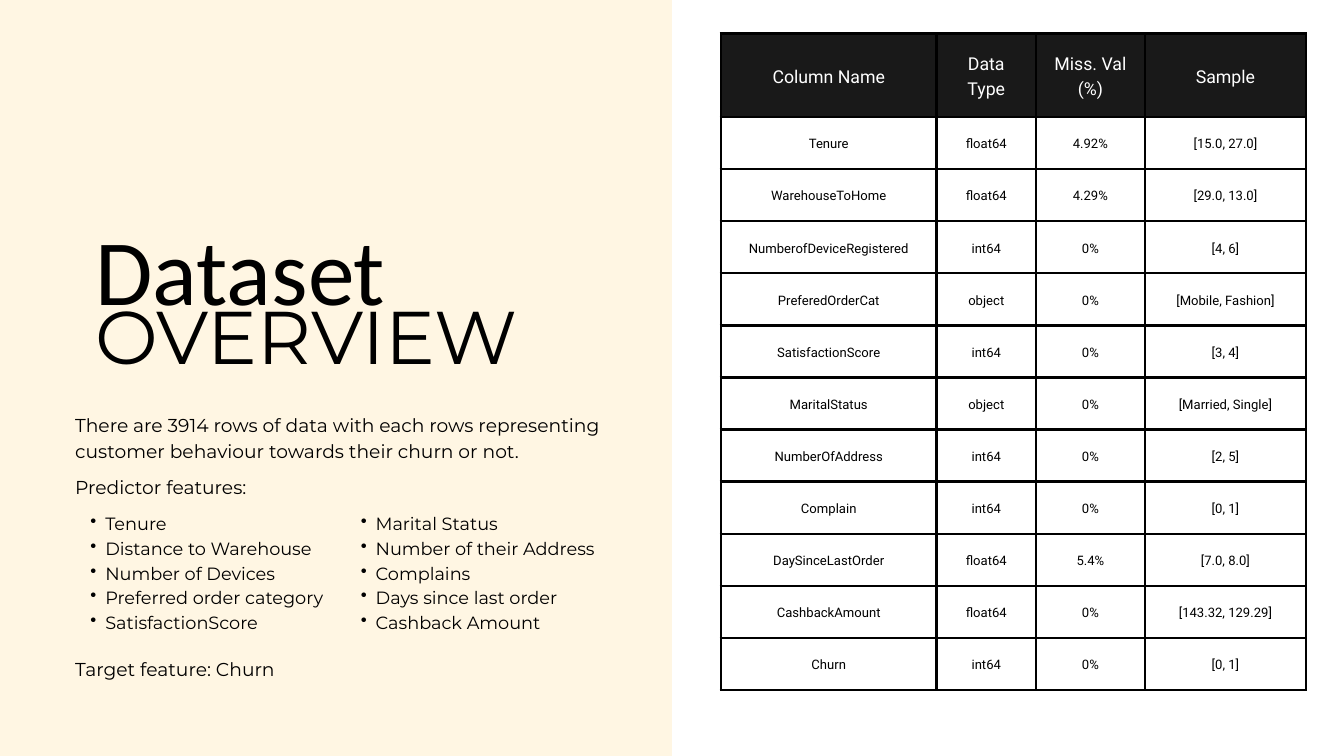
from lxml import etree
from pptx import Presentation
from pptx.dml.color import RGBColor
from pptx.enum.shapes import MSO_SHAPE
from pptx.enum.text import MSO_ANCHOR, MSO_AUTO_SIZE, PP_ALIGN
from pptx.oxml import parse_xml
from pptx.oxml.ns import nsdecls, qn
from pptx.util import Cm, Pt

LEFT, CENTER = PP_ALIGN.LEFT, PP_ALIGN.CENTER
TOP, MIDDLE = MSO_ANCHOR.TOP, MSO_ANCHOR.MIDDLE
GROW = MSO_AUTO_SIZE.SHAPE_TO_FIT_TEXT
RECTANGLE = MSO_SHAPE.RECTANGLE
TITLE_ONLY = 5

BLACK = RGBColor(0x00, 0x00, 0x00)
WHITE = RGBColor(0xFF, 0xFF, 0xFF)
CREAM = RGBColor(0xFF, 0xF6, 0xE3)
CHARCOAL = RGBColor(0x19, 0x19, 0x19)

SLIDE_WIDTH, SLIDE_HEIGHT = 50.8, 28.58

TITLE = "Dataset"
SUBTITLE = "OVERVIEW"
BODY_LEFT, BODY_WIDTH = 2.84, 20.6
# text, top, height
BODY = [
    ("There are 3914 rows of data with each rows representing "
     "customer behaviour towards their churn or not.", 15.49, 1.96),
    ("Predictor features:", 17.83, 0.97),
    ("Target feature: Churn", 24.74, 0.97),
]
# left, width, predictors
PREDICTORS = [
    (2.84, 9.58, ["Tenure", "Distance to Warehouse", "Number of Devices",
                  "Preferred order category", "SatisfactionScore"]),
    (13.06, 10.39, ["Marital Status", "Number of their Address", "Complains",
                    "Days since last order", "Cashback Amount"]),
]
PREDICTORS_TOP, PREDICTORS_HEIGHT = 19.25, 4.57

COLUMNS = [("Column Name", 8.15), ("Data Type", 3.76),
           ("Miss. Val (%)", 4.11), ("Sample", 6.1)]
ROWS = [
    ("Tenure", "float64", "4.92%", "[15.0, 27.0]"),
    ("WarehouseToHome", "float64", "4.29%", "[29.0, 13.0]"),
    ("NumberofDeviceRegistered", "int64", "0%", "[4, 6]"),
    ("PreferedOrderCat", "object", "0%", "[Mobile, Fashion]"),
    ("SatisfactionScore", "int64", "0%", "[3, 4]"),
    ("MaritalStatus", "object", "0%", "[Married, Single]"),
    ("NumberOfAddress", "int64", "0%", "[2, 5]"),
    ("Complain", "int64", "0%", "[0, 1]"),
    ("DaySinceLastOrder", "float64", "5.4%", "[7.0, 8.0]"),
    ("CashbackAmount", "float64", "0%", "[143.32, 129.29]"),
    ("Churn", "int64", "0%", "[0, 1]"),
]
TABLE_LEFT, TABLE_TOP = 27.25, 1.27
HEADER_HEIGHT, ROW_HEIGHT = 3.15, 1.97
CELL_MARGIN = 0.53
BORDER_WIDTH = 3


def write(frame, lines, *, size, spacing, font="Montserrat", color=BLACK,
          align=LEFT, bullet=False):
    for index, line in enumerate(lines):
        paragraph = frame.paragraphs[0] if index == 0 else frame.add_paragraph()
        paragraph.alignment = align
        paragraph.line_spacing = Pt(spacing)
        run = paragraph.add_run()
        run.text = line
        run.font.name = font
        run.font.size = Pt(size)
        run.font.color.rgb = color
        if bullet:
            properties = paragraph._p.get_or_add_pPr()
            properties.set("marL", str(Cm(1.14)))
            properties.set("indent", str(-Cm(0.56)))
            etree.SubElement(properties, qn("a:buChar"), char="•")


def set_up_box(shape, left, top, width, height):
    """Place a text shape, without insets, and return its text frame."""
    shape.left, shape.top = Cm(left), Cm(top)
    shape.width, shape.height = Cm(width), Cm(height)
    frame = shape.text_frame
    frame.margin_left = frame.margin_right = 0
    frame.margin_top = frame.margin_bottom = 0
    frame.vertical_anchor = TOP
    frame.word_wrap = True
    frame.auto_size = GROW
    return frame


def add_box(slide, *place):
    return set_up_box(slide.shapes.add_textbox(0, 0, 0, 0), *place)


def add_borders(cell):
    properties = cell._tc.get_or_add_tcPr()
    for position, side in enumerate(("lnL", "lnR", "lnT", "lnB")):
        properties.insert(position, parse_xml(
            f'<a:{side} {nsdecls("a")} w="{Pt(BORDER_WIDTH)}"><a:solidFill>'
            f'<a:srgbClr val="{BLACK}"/></a:solidFill></a:{side}>'))


def add_column_table(slide):
    width = sum(column_width for _, column_width in COLUMNS)
    height = HEADER_HEIGHT + ROW_HEIGHT * len(ROWS)
    table = slide.shapes.add_table(
        len(ROWS) + 1, len(COLUMNS),
        Cm(TABLE_LEFT), Cm(TABLE_TOP), Cm(width), Cm(height)).table
    table.horz_banding = False
    for column, (_, column_width) in zip(table.columns, COLUMNS):
        column.width = Cm(column_width)

    header = tuple(name for name, _ in COLUMNS)
    for index, (row, values) in enumerate(zip(table.rows, [header] + ROWS)):
        is_header = index == 0
        row.height = Cm(HEADER_HEIGHT if is_header else ROW_HEIGHT)
        for cell, value in zip(row.cells, values):
            cell.margin_left = cell.margin_right = Cm(CELL_MARGIN)
            cell.margin_top = cell.margin_bottom = Cm(CELL_MARGIN)
            cell.vertical_anchor = MIDDLE
            if is_header:
                cell.fill.solid()
                cell.fill.fore_color.rgb = CHARCOAL
            else:
                cell.fill.background()
            add_borders(cell)
            write(cell.text_frame, [value], font="Roboto", align=CENTER,
                  size=19 if is_header else 14,
                  spacing=26.6 if is_header else 19.6,
                  color=WHITE if is_header else BLACK)


def main():
    presentation = Presentation()
    presentation.slide_width = Cm(SLIDE_WIDTH)
    presentation.slide_height = Cm(SLIDE_HEIGHT)
    slide = presentation.slides.add_slide(
        presentation.slide_layouts[TITLE_ONLY])
    title = slide.shapes.title

    panel = slide.shapes.add_shape(
        RECTANGLE, 0, 0, Cm(SLIDE_WIDTH / 2), Cm(SLIDE_HEIGHT))
    panel.shadow.inherit = False
    panel.fill.solid()
    panel.fill.fore_color.rgb = CREAM
    panel.line.fill.background()
    title.element.addprevious(panel.element)  # behind the title

    add_column_table(slide)

    write(set_up_box(title, 3.61, 8.51, 17.65, 3.86), [TITLE],
          font="Calibri", size=100, spacing=106)
    write(add_box(slide, 3.61, 11.53, 17.65, 2.97), [SUBTITLE],
          size=80, spacing=80)
    for text, top, height in BODY:
        write(add_box(slide, BODY_LEFT, top, BODY_WIDTH, height), [text],
              size=20, spacing=28)
    for left, width, features in PREDICTORS:
        write(add_box(slide, left, PREDICTORS_TOP, width, PREDICTORS_HEIGHT),
              features, size=19, spacing=26.6, bullet=True)

    presentation.save("out.pptx")


if __name__ == "__main__":
    main()
